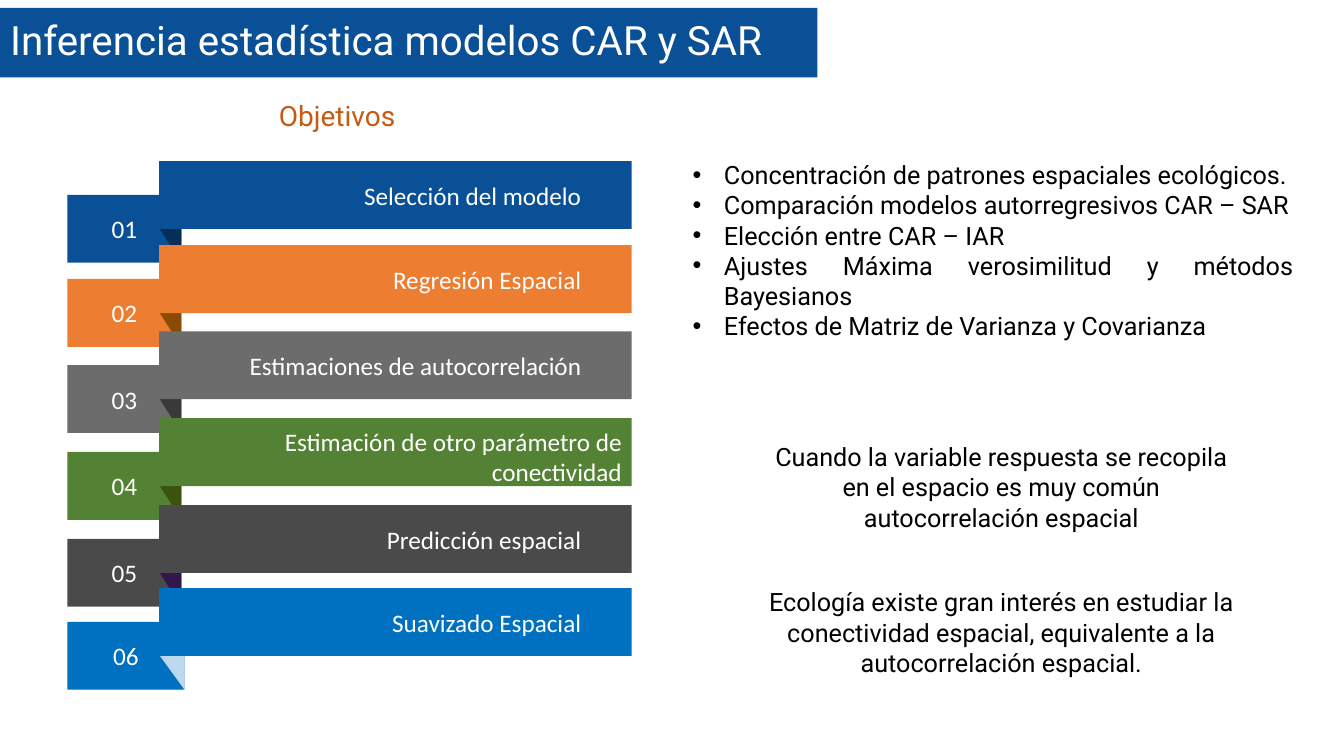
from dataclasses import dataclass

from lxml.etree import SubElement
from pptx import Presentation
from pptx.dml.color import RGBColor
from pptx.enum.shapes import MSO_SHAPE
from pptx.enum.text import MSO_ANCHOR, MSO_AUTO_SIZE, PP_ALIGN
from pptx.oxml.ns import qn
from pptx.util import Cm, Pt


@dataclass(frozen=True)
class Theme:
    heading_font: str = "Roboto"
    ribbon_font: str = "Calibri"
    title_size: float = 28.8
    subtitle_size: float = 20
    text_size: float = 18
    blue: str = "0A5097"
    accent: str = "C55A11"
    white: str = "FFFFFF"
    black: str = "000000"


@dataclass(frozen=True)
class Ribbon:
    top: float
    label: str
    color: str
    fold_color: str
    tab_width: float = 2.87


THEME = Theme()

RIBBONS = [
    Ribbon(4.06, "Selección del modelo", THEME.blue, "062E56"),
    Ribbon(6.18, "Regresión Espacial", "ED7D31", "8A4B04"),
    Ribbon(8.35, "Estimaciones de autocorrelación", "6C6C6C", "3B3838"),
    Ribbon(10.54, "", "548235", "3B5210"),
    Ribbon(12.73, "Predicción espacial", "4A4A4A", "33174A"),
    Ribbon(14.82, "Suavizado Espacial", "0070C0", "BDD7EE", 2.95),
]

TOPICS = [
    "Concentración de patrones espaciales ecológicos.",
    "Comparación modelos autorregresivos CAR – SAR",
    "Elección entre CAR – IAR",
    "Ajustes Máxima verosimilitud y métodos Bayesianos",
    "Efectos de Matriz de Varianza y Covarianza",
]

TAB_LEFT = 1.7
BANNER_LEFT = 4.01
BANNER_WIDTH = 11.91
BAND_HEIGHT = 1.71
TAB_DROP = 0.85


def place(shape, left, top, width, height):
    shape.left, shape.top = Cm(left), Cm(top)
    shape.width, shape.height = Cm(width), Cm(height)


def paint(shape, color):
    shape.fill.solid()
    shape.fill.fore_color.rgb = RGBColor.from_string(color)
    shape.line.fill.background()


def format_paragraph(paragraph, font_name, size, color, alignment):
    paragraph.font.name = font_name
    paragraph.font.size = Pt(size)
    paragraph.font.color.rgb = RGBColor.from_string(color)
    paragraph.alignment = alignment


def add_band(slide, left, top, width, color, text, alignment, margins):
    shape = slide.shapes.add_shape(
        MSO_SHAPE.RECTANGLE, Cm(left), Cm(top), Cm(width), Cm(BAND_HEIGHT)
    )
    shape.shadow.inherit = False
    paint(shape, color)
    if not text:
        return
    frame = shape.text_frame
    frame.word_wrap = True
    frame.vertical_anchor = MSO_ANCHOR.MIDDLE
    frame.margin_left, frame.margin_top, frame.margin_right, frame.margin_bottom = map(Cm, margins)
    frame.text = text
    format_paragraph(
        frame.paragraphs[0], THEME.ribbon_font, THEME.text_size, THEME.white, alignment
    )


def add_fold(slide, right, top, color):
    builder = slide.shapes.build_freeform(Cm(right), Cm(top + 2.56))
    corners = [(BANNER_LEFT, 1.68), (4.35, 1.13), (right, 1.22)]
    builder.add_line_segments([(Cm(x), Cm(top + drop)) for x, drop in corners], close=True)
    fold = builder.convert_to_shape()
    fold.shadow.inherit = False
    paint(fold, color)


def add_ribbon(slide, number, ribbon):
    add_band(slide, TAB_LEFT, ribbon.top + TAB_DROP, ribbon.tab_width, ribbon.color,
             f"{number:02d}", PP_ALIGN.CENTER, (0.5, 0.5, 0.5, 0.5))
    add_fold(slide, TAB_LEFT + ribbon.tab_width, ribbon.top, ribbon.fold_color)
    add_band(slide, BANNER_LEFT, ribbon.top, BANNER_WIDTH, ribbon.color,
             ribbon.label, PP_ALIGN.RIGHT, (0.25, 0.13, 1.27, 0.13))


def add_text(slide, box, text, alignment=PP_ALIGN.CENTER, font_name=THEME.heading_font,
             size=THEME.text_size, color=THEME.black, wrap=True):
    frame = slide.shapes.add_textbox(*map(Cm, box)).text_frame
    frame.word_wrap = wrap
    frame.text = text
    format_paragraph(frame.paragraphs[0], font_name, size, color, alignment)


def fill_title(slide, text):
    title = slide.shapes.title
    place(title, 0, 0.2, 20.6, 1.75)
    paint(title, THEME.blue)
    frame = title.text_frame
    frame.auto_size = MSO_AUTO_SIZE.NONE
    frame.vertical_anchor = MSO_ANCHOR.MIDDLE
    frame.text = text
    paragraph = frame.paragraphs[0]
    paragraph.line_spacing = 0.9
    format_paragraph(
        paragraph, THEME.heading_font, THEME.title_size, THEME.white, PP_ALIGN.LEFT
    )


def add_bullet(paragraph):
    properties = paragraph._p.get_or_add_pPr()
    properties.set("marL", str(Cm(0.79)))
    properties.set("indent", str(-Cm(0.79)))
    SubElement(properties, qn("a:buFont")).set("typeface", "Arial")
    SubElement(properties, qn("a:buChar")).set("char", "•")


def fill_topics(slide, topics):
    body = slide.placeholders[1]
    place(body, 17.2, 3.89, 15.65, 6.4)
    frame = body.text_frame
    frame.auto_size = MSO_AUTO_SIZE.NONE
    frame.vertical_anchor = MSO_ANCHOR.TOP
    frame.text = "\n".join(topics)
    for paragraph in frame.paragraphs:
        paragraph.space_before = Pt(0)
        add_bullet(paragraph)
        format_paragraph(
            paragraph, THEME.heading_font, THEME.text_size, THEME.black, PP_ALIGN.JUSTIFY
        )


def main():
    presentation = Presentation()
    presentation.slide_width, presentation.slide_height = Cm(33.87), Cm(19.05)
    slide = presentation.slides.add_slide(presentation.slide_layouts[1])
    fill_title(slide, "Inferencia estadística modelos CAR y SAR")
    fill_topics(slide, TOPICS)
    for number, ribbon in enumerate(RIBBONS, start=1):
        add_ribbon(slide, number, ribbon)
    add_text(slide, (4.6, 10.62, 11.32, 1.8), "Estimación de otro parámetro de conectividad",
             PP_ALIGN.RIGHT, THEME.ribbon_font, color=THEME.white)
    add_text(slide, (6.78, 2.36, 3.48, 1.12), "Objetivos", PP_ALIGN.LEFT,
             size=THEME.subtitle_size, color=THEME.accent, wrap=False)
    add_text(slide, (19.05, 11, 12.37, 2.57),
             "Cuando la variable respuesta se recopila en el espacio es muy común "
             "autocorrelación espacial")
    add_text(slide, (19.05, 14.66, 12.37, 2.57),
             "Ecología existe gran interés en estudiar la conectividad espacial, "
             "equivalente a la autocorrelación espacial.")
    presentation.save("out.pptx")


if __name__ == "__main__":
    main()
